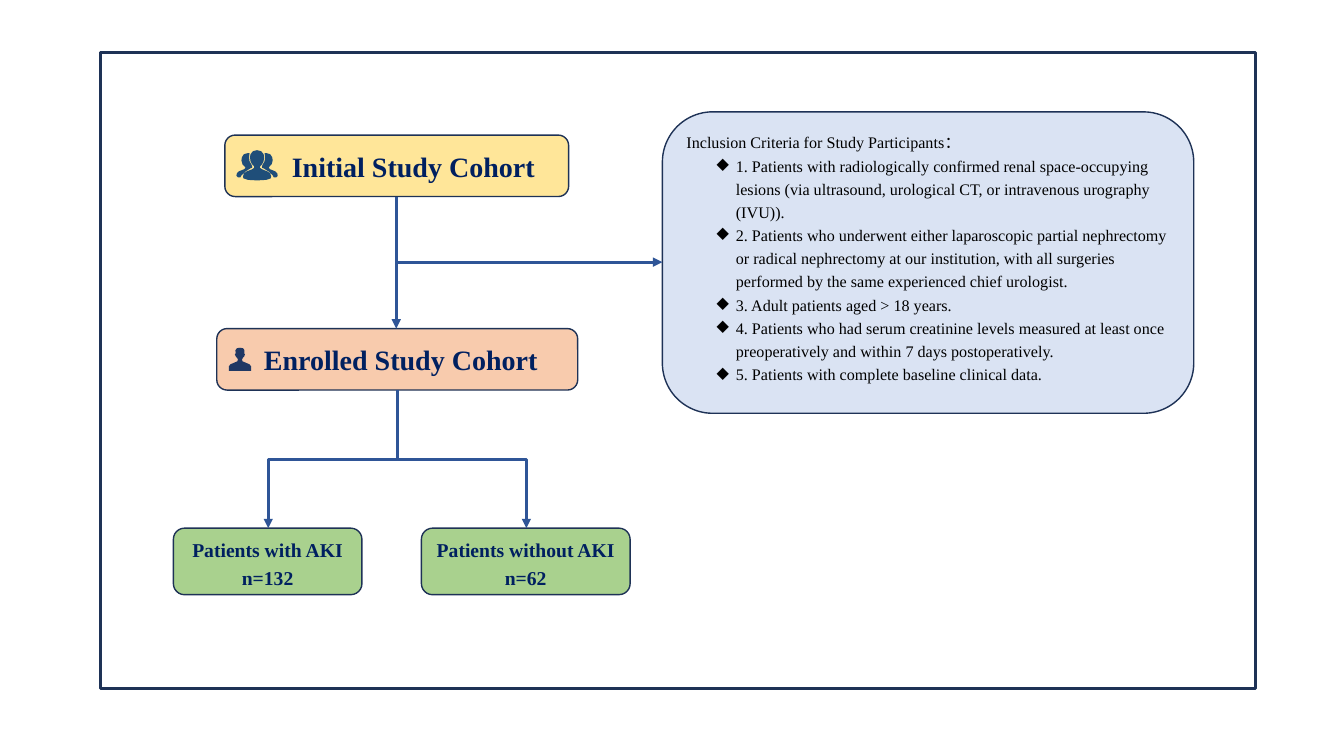
from dataclasses import dataclass

from pptx import Presentation
from pptx.dml.color import RGBColor
from pptx.enum.shapes import MSO_CONNECTOR as LINK, MSO_SHAPE as SHAPE
from pptx.enum.text import MSO_ANCHOR as ANCHOR, PP_ALIGN as ALIGN
from pptx.oxml.ns import qn
from pptx.util import Inches, Pt
from lxml.etree import SubElement


@dataclass(frozen=True)
class Theme:
    font: str = "Times New Roman"
    outline: str = "1E3256"
    arrow: str = "2F5597"
    title: str = "002060"
    body: str = "000000"
    initial: str = "FFE699"
    enrolled: str = "F8CBAD"
    outcome: str = "A9D18E"
    criteria: str = "DAE3F3"
    group_icon: str = "1F4E79"
    person_icon: str = "203864"
    title_size: float = 20
    outcome_size: float = 14
    body_size: float = 11.5
    thin: float = 1
    thick: float = 2.25


THEME = Theme()

CRITERIA = [
    "1. Patients with radiologically confirmed renal space-occupying lesions "
    "(via ultrasound, urological CT, or intravenous urography (IVU)).",
    "2. Patients who underwent either laparoscopic partial nephrectomy or radical "
    "nephrectomy at our institution, with all surgeries performed by the same "
    "experienced chief urologist.",
    "3. Adult patients aged > 18 years.",
    "4. Patients who had serum creatinine levels measured at least once "
    "preoperatively and within 7 days postoperatively.",
    "5. Patients with complete baseline clinical data.",
]

FRONT_HALF = [(0, 0), (4, 1), (6.5, 4), (7, 7), (6.5, 11), (5, 14), (3, 16), (2.8, 17.5),
              (5, 19), (10, 21), (13, 23), (14, 26), (13.5, 28), (9, 29.5), (0, 30)]
SIDE_PERSON = [(6.5, 18), (5, 17.5), (5, 15.5), (7.5, 11), (8, 7), (7.5, 3), (9.5, 3),
               (13, 4), (15, 7), (15.5, 10), (14.5, 14), (12.5, 16), (11.5, 17.5),
               (13, 19), (18, 21), (20, 23), (20.5, 25.5), (19, 27), (16.5, 27),
               (15.5, 25), (12, 21.5)]
SINGLE_HALF = [(0, 0), (3, 0.5), (4.5, 2.5), (4.3, 5.8), (5, 6.5), (4.3, 8.5), (3, 10),
               (2, 11.5), (2.5, 13.5), (6, 15), (9.5, 16.5), (11, 18.5), (11, 23), (0, 23)]


def rgb(code):
    """Turn a hex code into a colour."""
    return RGBColor.from_string(code)


def write(frame, text, size, color, bold=False, align=ALIGN.LEFT, spacing=1.0, bullet=None):
    """Write one paragraph, using the first one while it is empty."""
    first = frame.paragraphs[0]
    paragraph = frame.add_paragraph() if first.runs else first
    paragraph.alignment = align
    paragraph.line_spacing = spacing
    if bullet:
        paragraph.level = 1
        props = paragraph._p.get_or_add_pPr()
        props.set("marL", str(Inches(0.49)))
        props.set("indent", str(Inches(-0.19)))
        SubElement(props, qn("a:buChar")).set("char", bullet)
    run = paragraph.add_run()
    run.text = text
    run.font.name = THEME.font
    run.font.size = Pt(size)
    run.font.bold = bold
    run.font.color.rgb = rgb(color)


def add_box(slide, left, top, width, height, fill=None, kind=SHAPE.ROUNDED_RECTANGLE,
            weight=THEME.thin):
    """Draw an outlined box and return its text frame."""
    box = slide.shapes.add_shape(kind, *map(Inches, (left, top, width, height)))
    box.shadow.inherit = False
    if fill:
        box.fill.solid()
        box.fill.fore_color.rgb = rgb(fill)
    else:
        box.fill.background()
    box.line.color.rgb = rgb(THEME.outline)
    box.line.width = Pt(weight)
    box.text_frame.word_wrap = True
    box.text_frame.vertical_anchor = ANCHOR.MIDDLE
    return box.text_frame


def add_cohort(slide, left, top, width, fill, label, inset):
    """Draw a cohort box whose label leaves room for an icon."""
    frame = add_box(slide, left, top, width, 0.61, fill)
    frame.margin_left = Inches(inset)
    write(frame, label, THEME.title_size, THEME.title, bold=True, align=ALIGN.CENTER)


def add_outcome(slide, left, width, label, count):
    """Draw an outcome box with its label and patient count."""
    frame = add_box(slide, left, 5.24, width, 0.66, THEME.outcome)
    for line in (label, count):
        write(frame, line, THEME.outcome_size, THEME.title, bold=True,
              align=ALIGN.CENTER, spacing=1.2)


def add_criteria(slide):
    """Draw the panel of inclusion criteria."""
    add_box(slide, 6.57, 1.11, 5.27, 2.99, THEME.criteria)
    frame = slide.shapes.add_textbox(*map(Inches, (6.71, 1.23, 4.99, 2.66))).text_frame
    frame.word_wrap = True
    write(frame, "Inclusion Criteria for Study Participants：", THEME.body_size,
          THEME.body, spacing=1.2)
    for criterion in CRITERIA:
        write(frame, criterion, THEME.body_size, THEME.body, spacing=1.2, bullet="◆")


def add_arrow(slide, start, end, kind=LINK.STRAIGHT):
    """Draw a connector with an arrowhead at its end."""
    arrow = slide.shapes.add_connector(kind, *map(Inches, (*start, *end)))
    arrow.line.color.rgb = rgb(THEME.arrow)
    arrow.line.width = Pt(THEME.thick)
    SubElement(arrow.line._get_or_add_ln(), qn("a:tailEnd")).set("type", "triangle")
    SubElement(arrow._element.spPr, qn("a:effectLst"))
    return arrow


def add_branch(slide, start, end):
    """Draw an elbow arrow that leaves downwards, turned from a sideways one."""
    (x1, y1), (x2, y2) = start, end
    mid_x, mid_y = (x1 + x2) / 2, (y1 + y2) / 2
    side = 1 if x2 > x1 else -1
    reach, half = side * (y2 - y1) / 2, abs(x2 - x1) / 2
    branch = add_arrow(slide, (mid_x + reach, mid_y - half),
                       (mid_x - reach, mid_y + half), LINK.ELBOW)
    degrees = 270 if side > 0 else 90
    branch._element.spPr.find(qn("a:xfrm")).set("rot", str(degrees * 60000))


def mirror(points):
    """Reflect points across the vertical axis."""
    return [(-x, y) for x, y in points]


def symmetric(half):
    """Close a half outline with its reflection."""
    return half + mirror(half)[-2:0:-1]


def add_icon(slide, center, top, outlines, color):
    """Draw outlines given in hundredths of an inch as one filled figure."""
    contours = [[(Inches(center + x / 100), Inches(top + y / 100)) for x, y in outline]
                for outline in outlines]
    builder = slide.shapes.build_freeform(*contours[0][0])
    for index, contour in enumerate(contours):
        if index:
            builder.move_to(*contour[0])
        builder.add_line_segments(contour[1:], close=True)
    icon = builder.convert_to_shape()
    icon.shadow.inherit = False
    icon.fill.solid()
    icon.fill.fore_color.rgb = rgb(color)
    icon.line.fill.background()


def main():
    """Build the cohort flow chart."""
    deck = Presentation()
    deck.slide_width, deck.slide_height = Inches(13.33), Inches(7.5)
    slide = deck.slides.add_slide(deck.slide_layouts[6])

    add_criteria(slide)
    add_cohort(slide, 2.23, 1.34, 3.41, THEME.initial, "Initial Study Cohort", 0.43)
    add_cohort(slide, 2.15, 3.26, 3.58, THEME.enrolled, "Enrolled Study Cohort", 0.17)
    add_arrow(slide, (3.93, 1.95), (3.93, 3.26))
    add_icon(slide, 2.55, 1.49,
             [SIDE_PERSON, mirror(SIDE_PERSON), symmetric(FRONT_HALF)], THEME.group_icon)
    add_icon(slide, 2.38, 3.45, [symmetric(SINGLE_HALF)], THEME.person_icon)
    add_outcome(slide, 1.72, 1.87, "Patients with AKI", "n=132")
    add_outcome(slide, 4.18, 2.07, "Patients without AKI", "n=62")
    for outcome_x in (5.22, 2.66):
        add_branch(slide, (3.94, 3.87), (outcome_x, 5.24))
    add_arrow(slide, (3.93, 2.6), (6.57, 2.6))
    add_box(slide, 1, 0.52, 11.45, 6.31, kind=SHAPE.RECTANGLE, weight=THEME.thick)
    deck.save("out.pptx")


if __name__ == "__main__":
    main()
